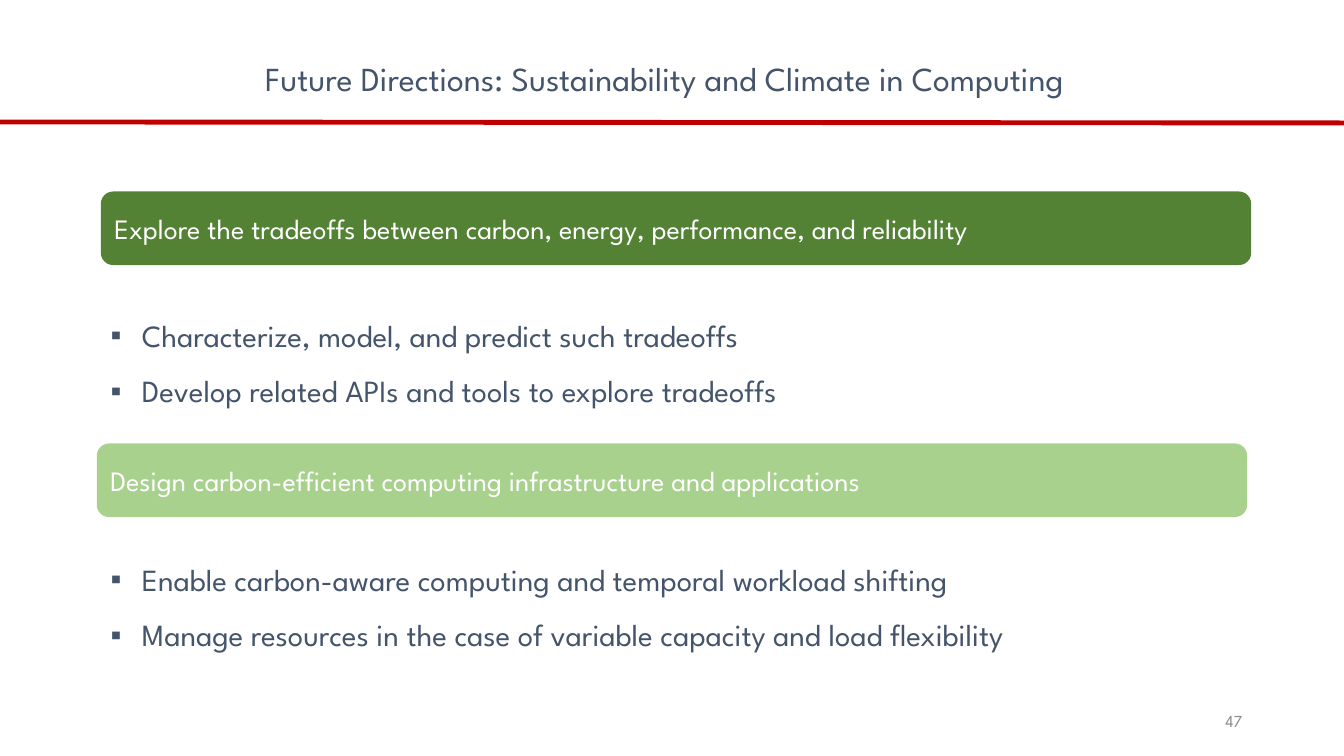
from dataclasses import dataclass

from lxml.etree import SubElement
from pptx import Presentation
from pptx.dml.color import RGBColor
from pptx.enum.shapes import MSO_CONNECTOR as Connector, MSO_SHAPE as Shape
from pptx.enum.text import MSO_ANCHOR as Anchor, PP_ALIGN as Align
from pptx.oxml.ns import qn
from pptx.slide import Slide
from pptx.text.text import TextFrame
from pptx.util import Inches, Pt

FONT = "League Spartan"
COLORS = {
    "rule": "C00000",
    "text": "44546A",
    "number": "8C8C8C",
    "white": "FFFFFF",
    "dark_green": "548235",
    "light_green": "A9D18E",
}


@dataclass
class Direction:
    heading: str
    fill: str
    left: float
    top: float
    points_top: float
    points: list[str]


DIRECTIONS = [
    Direction(
        "Explore the tradeoffs between carbon, energy, performance, and reliability",
        "dark_green", 1, 1.9, 2.91,
        ["Characterize, model, and predict such tradeoffs",
         "Develop related APIs and tools to explore tradeoffs"],
    ),
    Direction(
        "Design carbon-efficient computing infrastructure and applications",
        "light_green", 0.96, 4.4, 5.33,
        ["Enable carbon-aware computing and temporal workload shifting",
         "Manage resources in the case of variable capacity and load flexibility"],
    ),
]


def color(name: str) -> RGBColor:
    return RGBColor.from_string(COLORS[name])


def write(frame: TextFrame, lines: list[str], size: float, ink: str,
          bulleted: bool = False, **para_format) -> None:
    """Fill a frame with one formatted paragraph per line."""
    frame.word_wrap = True
    for index, line in enumerate(lines):
        para = frame.paragraphs[0] if index == 0 else frame.add_paragraph()
        para.text = line
        for name, value in para_format.items():
            setattr(para, name, value)
        if bulleted:
            add_bullet(para._p.get_or_add_pPr())
        for name, value in {"name": FONT, "size": Pt(size), "bold": False}.items():
            setattr(para.font, name, value)
        para.font.color.rgb = color(ink)


def add_bullet(properties) -> None:
    properties.set("marL", str(Inches(0.31)))
    properties.set("indent", str(Inches(-0.31)))
    SubElement(properties, qn("a:buFont"), typeface="Arial")
    SubElement(properties, qn("a:buChar"), char="▪")


def add_title(page: Slide, text: str) -> None:
    title = page.shapes.title
    place = {"left": 1.52, "top": 0.57, "width": 10.14, "height": 0.61}
    for name, value in place.items():
        setattr(title, name, Inches(value))
    title.text_frame.vertical_anchor = Anchor.TOP
    write(title.text_frame, [text], 24, "text",
          alignment=Align.CENTER, line_spacing=0.9)


def add_rule(page: Slide) -> None:
    rule = page.shapes.add_connector(
        Connector.STRAIGHT, Inches(0), Inches(1.21), Inches(13.33), Inches(1.22))
    rule.line.color.rgb = color("rule")
    rule.line.width = Pt(3.5)
    SubElement(rule._element.spPr, qn("a:effectLst"))


def add_direction(page: Slide, direction: Direction) -> None:
    # Heading banner
    banner = page.shapes.add_shape(
        Shape.ROUNDED_RECTANGLE, Inches(direction.left), Inches(direction.top),
        Inches(11.41), Inches(0.73))
    banner.shadow.inherit = False
    banner.fill.solid()
    banner.fill.fore_color.rgb = color(direction.fill)
    banner.line.fill.background()
    banner.text_frame.vertical_anchor = Anchor.MIDDLE
    write(banner.text_frame, [direction.heading], 20, "white", alignment=Align.LEFT)

    # Bulleted points
    box = page.shapes.add_textbox(
        Inches(1), Inches(direction.points_top), Inches(11.17), Inches(1.14))
    write(box.text_frame, direction.points, 22, "text", bulleted=True, line_spacing=1.5)


def add_page_number(page: Slide, number: int) -> None:
    box = page.shapes.add_textbox(Inches(9.42), Inches(6.95), Inches(3), Inches(0.4))
    box.text_frame.vertical_anchor = Anchor.MIDDLE
    write(box.text_frame, [str(number)], 12, "number", alignment=Align.RIGHT)


def main() -> None:
    deck = Presentation()
    deck.slide_width, deck.slide_height = Inches(13.33), Inches(7.5)
    page = deck.slides.add_slide(deck.slide_layouts[5])

    add_rule(page)
    add_page_number(page, 47)
    add_title(page, "Future Directions: Sustainability and Climate in Computing")
    for direction in DIRECTIONS:
        add_direction(page, direction)

    deck.save("out.pptx")


if __name__ == "__main__":
    main()
